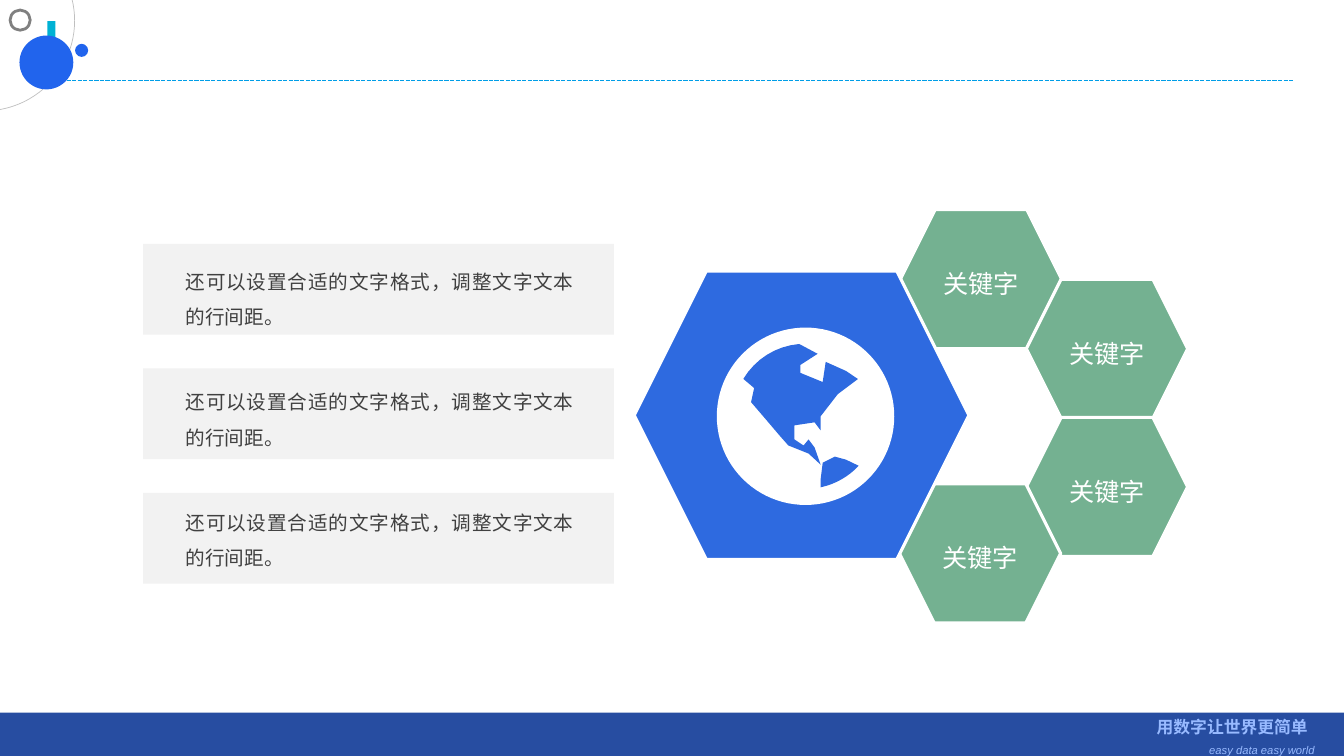
import math

import pptx
import pptx.dml.color
import pptx.enum.dml
import pptx.enum.shapes
import pptx.enum.text
import pptx.util
import lxml.etree
from pptx.oxml.ns import qn

Inches = pptx.util.Inches
Pt = pptx.util.Pt
RGBColor = pptx.dml.color.RGBColor
SHAPE = pptx.enum.shapes.MSO_SHAPE
ALIGN = pptx.enum.text.PP_ALIGN
ANCHOR = pptx.enum.text.MSO_ANCHOR

WHITE = RGBColor(0xFF, 0xFF, 0xFF)
CYAN = RGBColor(0x00, 0xB1, 0xD4)
RULE_BLUE = RGBColor(0x00, 0x9E, 0xE7)
DOT_BLUE = RGBColor(0x21, 0x64, 0xED)
FOOTER_BLUE = RGBColor(0x27, 0x4D, 0xA1)
SLOGAN_BLUE = RGBColor(0x98, 0xBA, 0xFF)
HUB_BLUE = RGBColor(0x2E, 0x6A, 0xE0)
GREEN = RGBColor(0x74, 0xB1, 0x91)
PALE_GRAY = RGBColor(0xF2, 0xF2, 0xF2)
ARC_GRAY = RGBColor(0xBF, 0xBF, 0xBF)
RING_GRAY = RGBColor(0x80, 0x80, 0x80)
TEXT_GRAY = RGBColor(0x40, 0x40, 0x40)

CJK = "Noto Sans CJK SC"
KEYWORD = "关键字"
CARD_TEXT = "还可以设置合适的文字格式，调整文字文本的行间距。"
NO_MARGINS = dict(margin_left=0, margin_top=0, margin_right=0, margin_bottom=0)
KEYWORD_FONT = dict(name=CJK, size=Pt(18))
CARD_FONT = dict(name=CJK, size=Pt(14))
SLOGAN_FONT = dict(name="Arial", size=Pt(12), bold=True)
TAGLINE_FONT = dict(name="Arial", size=Pt(8), italic=True)

KEYWORD_SPOTS = [(8.93, 2.08), (10.18, 2.77), (10.18, 4.14), (8.92, 4.8)]
CARD_COUNT = 3
CARD_TOP, CARD_STEP = 2.42, 1.235
CARD_TEXT_TOP, CARD_TEXT_STEP = 2.56, 1.195

GLOBE_X, GLOBE_Y, GLOBE_RADIUS = 7.99, 4.13, 0.88
LAND_RADIUS = 0.72
HUDSON_BAY = [(0.12, -0.62), (-0.05, -0.51), (-0.05, -0.43), (0.17, -0.34)]
ATLANTIC = [(0.2, -0.54), (0.4, -0.45), (0.52, -0.37), (0.32, -0.22), (0.15, 0)]
GULF = [(0.15, 0.14), (0.09, 0.06), (-0.11, 0.09), (-0.11, 0.23), (-0.02, 0.29)]
ISTHMUS = [(0.03, 0.23), (0.09, 0.31), (0.15, 0.48), (0.03, 0.37)]
PACIFIC = [(-0.17, 0.29), (-0.25, 0.2), (-0.42, 0), (-0.54, -0.14), (-0.51, -0.28)]
CARIBBEAN = [(0.15, 0.62), (0.17, 0.46), (0.29, 0.4), (0.4, 0.43)]


def apply_format(target, values):
    for attribute, value in values.items():
        setattr(target, attribute, value)


def paint(part, fill=None, outline=None, weight=1):
    part.shadow.inherit = False
    if fill is None:
        part.fill.background()
    else:
        part.fill.solid()
        part.fill.fore_color.rgb = fill
    if outline is None:
        part.line.fill.background()
    else:
        part.line.color.rgb = outline
        part.line.width = Pt(weight)


def add_part(slide, preset, box, **colours):
    part = slide.shapes.add_shape(preset, *map(Inches, box))
    paint(part, **colours)
    return part


def add_circle(slide, center_x, center_y, radius, **colours):
    box = (center_x - radius, center_y - radius, 2 * radius, 2 * radius)
    return add_part(slide, SHAPE.OVAL, box, **colours)


def write(frame, text, font, colour, align, spacing=None):
    paragraph = frame.paragraphs[0]
    apply_format(paragraph, dict(alignment=align, line_spacing=spacing))
    run = paragraph.add_run()
    run.text = text
    apply_format(run.font, font)
    run.font.color.rgb = colour
    east_asian = lxml.etree.SubElement(run.font._element, qn("a:ea"))
    east_asian.set("typeface", CJK)


def add_text_frame(slide, box, **settings):
    frame = slide.shapes.add_textbox(*map(Inches, box)).text_frame
    apply_format(frame, dict(word_wrap=True, **settings))
    return frame


def add_header(slide):
    add_part(slide, SHAPE.RECTANGLE, (0.47, 0.21, 0.08, 0.59), fill=CYAN)
    rule = slide.shapes.add_connector(
        pptx.enum.shapes.MSO_CONNECTOR.STRAIGHT,
        Inches(0.55), Inches(0.8), Inches(12.83), Inches(0.8))
    rule.line.color.rgb = RULE_BLUE
    apply_format(rule.line, dict(
        width=Pt(1), dash_style=pptx.enum.dml.MSO_LINE.SQUARE_DOT))
    lxml.etree.SubElement(rule._element.spPr, qn("a:effectLst"))
    orbit = add_part(slide, SHAPE.ARC, (-1.05, -0.69, 1.79, 1.79),
                     outline=ARC_GRAY, weight=0.5)
    orbit.adjustments[0] = 207.72
    orbit.adjustments[1] = 48.6
    add_circle(slide, 0.46, 0.62, 0.26, fill=DOT_BLUE, outline=DOT_BLUE)
    add_circle(slide, 0.81, 0.5, 0.065, fill=DOT_BLUE)
    add_circle(slide, 0.2, 0.2, 0.1, outline=RING_GRAY, weight=2)


def add_footer(slide):
    add_part(slide, SHAPE.RECTANGLE, (0, 7.07, 13.33, 0.44), fill=FOOTER_BLUE)
    slogan = add_text_frame(slide, (11.29, 7.06, 1.78, 0.3))
    write(slogan, "用数字让世界更简单", SLOGAN_FONT, SLOGAN_BLUE, ALIGN.RIGHT)
    tagline = add_text_frame(slide, (11.36, 7.33, 1.78, 0.17))
    write(tagline, "easy data easy world", TAGLINE_FONT, SLOGAN_BLUE, ALIGN.RIGHT)


def add_keyword(slide, left, top):
    cell = add_part(slide, SHAPE.HEXAGON, (left, top, 1.6, 1.38),
                    fill=GREEN, outline=WHITE, weight=2.25)
    frame = cell.text_frame
    apply_format(frame, dict(NO_MARGINS, vertical_anchor=ANCHOR.MIDDLE))
    write(frame, KEYWORD, KEYWORD_FONT, WHITE, ALIGN.CENTER, 1.3)


def curved_edge(first_degree, last_degree, steps=8):
    sweep = last_degree - first_degree
    angles = [math.radians(first_degree + sweep * step / steps)
              for step in range(steps + 1)]
    return [(LAND_RADIUS * math.cos(angle), LAND_RADIUS * math.sin(angle))
            for angle in angles]


def add_land(slide, *coasts):
    outline = [(Inches(GLOBE_X + x), Inches(GLOBE_Y + y))
               for coast in coasts for x, y in coast]
    builder = slide.shapes.build_freeform(*outline[0])
    builder.add_line_segments(outline[1:], close=True)
    paint(builder.convert_to_shape(), fill=HUB_BLUE)


def add_globe(slide):
    add_part(slide, SHAPE.HEXAGON, (6.29, 2.69, 3.32, 2.86),
             fill=HUB_BLUE, outline=WHITE, weight=2.25)
    add_circle(slide, GLOBE_X, GLOBE_Y, GLOBE_RADIUS, fill=WHITE)
    add_land(slide, curved_edge(211, 265),
             HUDSON_BAY, ATLANTIC, GULF, ISTHMUS, PACIFIC)
    add_land(slide, curved_edge(43, 78), CARIBBEAN)


def add_card(slide, top, text_top):
    add_part(slide, SHAPE.RECTANGLE, (1.42, top, 4.67, 0.9), fill=PALE_GRAY)
    frame = add_text_frame(slide, (1.84, text_top, 3.85, 0.67), **NO_MARGINS)
    write(frame, CARD_TEXT, CARD_FONT, TEXT_GRAY, ALIGN.JUSTIFY, 1.5)


def main():
    deck = pptx.Presentation()
    apply_format(deck, dict(slide_width=Inches(13.33), slide_height=Inches(7.5)))
    slide = deck.slides.add_slide(deck.slide_layouts[6])
    add_header(slide)
    add_footer(slide)
    for left, top in KEYWORD_SPOTS:
        add_keyword(slide, left, top)
    add_globe(slide)
    for row in range(CARD_COUNT):
        add_card(slide, CARD_TOP + CARD_STEP * row,
                 CARD_TEXT_TOP + CARD_TEXT_STEP * row)
    deck.save("out.pptx")


if __name__ == "__main__":
    main()
